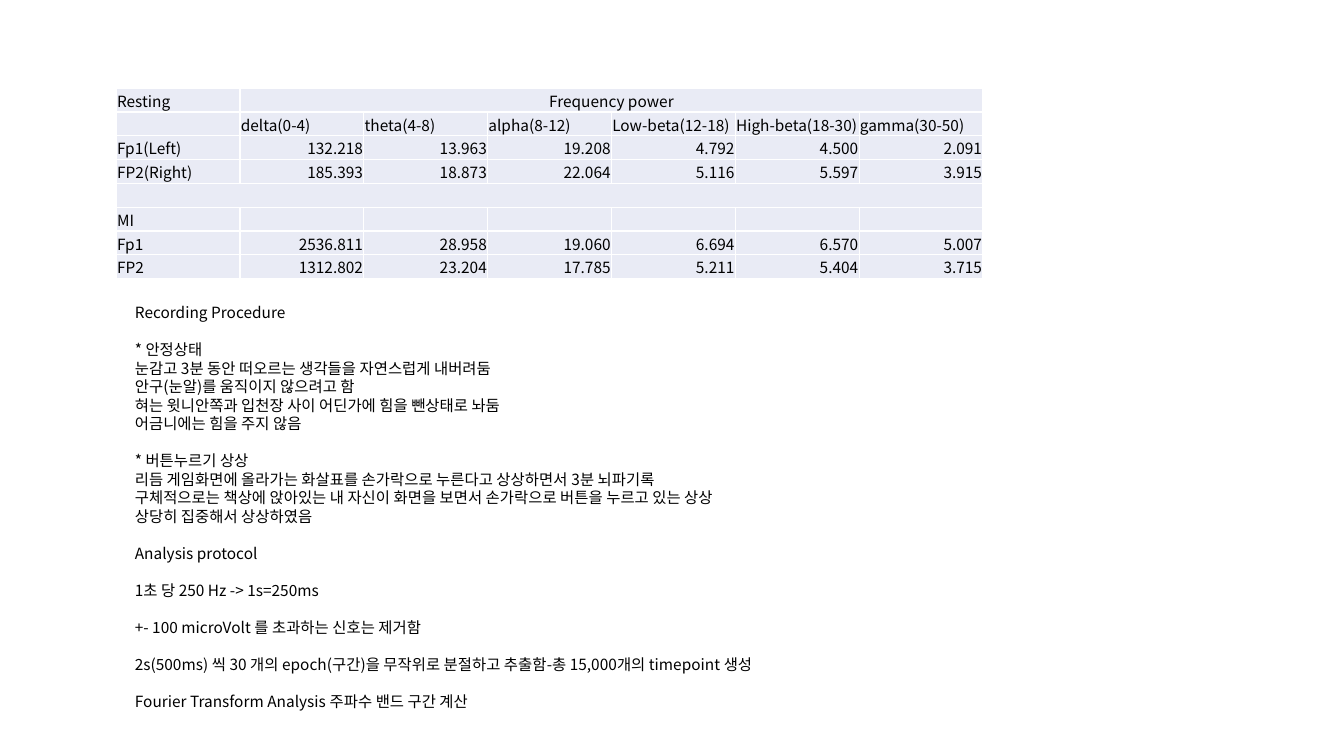
from lxml.etree import SubElement
from pptx import Presentation
from pptx.dml.color import RGBColor
from pptx.enum.text import MSO_ANCHOR, PP_ALIGN
from pptx.oxml import parse_xml
from pptx.oxml.ns import nsdecls, qn
from pptx.util import Cm, Pt

COLORS = {"text": "000000", "cell": "E9EBF5", "border": "FFFFFF"}

ROWS = [
    ["Resting", "Frequency power"] + [""] * 5,
    ["", "delta(0-4)", "theta(4-8)", "alpha(8-12)",
     "Low-beta(12-18)", "High-beta(18-30)", "gamma(30-50)"],
    ["Fp1(Left)", 132.218, 13.963, 19.208, 4.792, 4.5, 2.091],
    ["FP2(Right)", 185.393, 18.873, 22.064, 5.116, 5.597, 3.915],
    [""] * 7,
    ["MI"] + [""] * 6,
    ["Fp1", 2536.811, 28.958, 19.06, 6.694, 6.57, 5.007],
    ["FP2", 1312.802, 23.204, 17.785, 5.211, 5.404, 3.715],
]
MERGES = [((0, 1), (0, 6)), ((4, 0), (4, 6))]

PROCEDURE = [
    ["Recording Procedure"],
    ["* 안정상태",
     "눈감고 3분 동안 떠오르는 생각들을 자연스럽게 내버려둠",
     "안구(눈알)를 움직이지 않으려고 함",
     "혀는 윗니안쪽과 입천장 사이 어딘가에 힘을 뺀상태로 놔둠",
     "어금니에는 힘을 주지 않음"],
    ["* 버튼누르기 상상",
     "리듬 게임화면에 올라가는 화살표를 손가락으로 누른다고 상상하면서 3분 뇌파기록",
     "구체적으로는 책상에 앉아있는 내 자신이 화면을 보면서 손가락으로 버튼을 누르고 있는 상상",
     "상당히 집중해서 상상하였음"],
    ["Analysis protocol"],
    ["1초 당 250 Hz -> 1s=250ms"],
    ["+- 100 microVolt 를 초과하는 신호는 제거함"],
    ["2s(500ms) 씩 30 개의 epoch(구간)을 무작위로 분절하고 추출함-총 15,000개의 timepoint 생성"],
    ["Fourier Transform Analysis 주파수 밴드 구간 계산"],
]


class SlideBuilder:
    font = {"name": "Noto Sans CJK KR", "size": Pt(11)}
    line = Pt(13.2)
    cell_format = {
        "margin_left": Cm(0.02), "margin_right": Cm(0.02),
        "margin_top": Cm(0.02), "margin_bottom": 0,
        "vertical_anchor": MSO_ANCHOR.MIDDLE,
    }

    def __init__(self, slide):
        self.s = slide

    def paragraph(self, p, text, **paragraph_format):
        for key, value in paragraph_format.items():
            setattr(p, key, value)
        if not text:
            end = SubElement(p._p, qn("a:endParaRPr"))
            end.set("sz", str(int(self.font["size"].pt * 100)))
            return
        r = p.add_run()
        r.text = text
        for key, value in self.font.items():
            setattr(r.font, key, value)
        r.font.color.rgb = RGBColor.from_string(COLORS["text"])
        ea = SubElement(r._r.get_or_add_rPr(), qn("a:ea"))
        ea.set("typeface", self.font["name"])

    def style_cell(self, cell):
        for key, value in self.cell_format.items():
            setattr(cell, key, value)
        cell.fill.solid()
        cell.fill.fore_color.rgb = RGBColor.from_string(COLORS["cell"])
        tc_pr = cell._tc.get_or_add_tcPr()
        for i, side in enumerate("LRTB"):
            tc_pr.insert(i, parse_xml(
                f'<a:ln{side} {nsdecls("a")} w="12700"><a:solidFill>'
                f'<a:srgbClr val="{COLORS["border"]}"/></a:solidFill></a:ln{side}>'))

    def table(self, left, top, col_width, row_height, rows, merges):
        n_rows, n_cols = len(rows), len(rows[0])
        table = self.s.shapes.add_table(
            n_rows, n_cols, Cm(left), Cm(top),
            Cm(col_width * n_cols), Cm(row_height * n_rows)).table
        for i, row in enumerate(rows):
            for j, value in enumerate(row):
                cell = table.cell(i, j)
                self.style_cell(cell)
                p = cell.text_frame.paragraphs[0]
                if isinstance(value, float):
                    self.paragraph(p, f"{value:.3f}", alignment=PP_ALIGN.RIGHT)
                else:
                    self.paragraph(p, value)
        for start, end in merges:
            table.cell(*start).merge(table.cell(*end))
        return table

    def text(self, left, top, width, height, groups):
        tf = self.s.shapes.add_textbox(
            Cm(left), Cm(top), Cm(width), Cm(height)).text_frame
        tf.word_wrap = True
        for g, group in enumerate(groups):
            for i, text in enumerate(group):
                first = g == 0 and i == 0
                p = tf.paragraphs[0] if first else tf.add_paragraph()
                gap = self.line if g and i == 0 else Pt(0)
                self.paragraph(p, text, line_spacing=self.line, space_before=gap)


def main():
    prs = Presentation()
    prs.slide_width, prs.slide_height = Cm(33.87), Cm(19.05)
    builder = SlideBuilder(prs.slides.add_slide(prs.slide_layouts[6]))
    table = builder.table(2.93, 2.22, 3.12, 0.6, ROWS, MERGES)
    table.cell(0, 1).text_frame.paragraphs[0].alignment = PP_ALIGN.CENTER
    builder.text(3.15, 7.52, 20.1, 11.53, PROCEDURE)
    prs.save("out.pptx")


if __name__ == "__main__":
    main()
